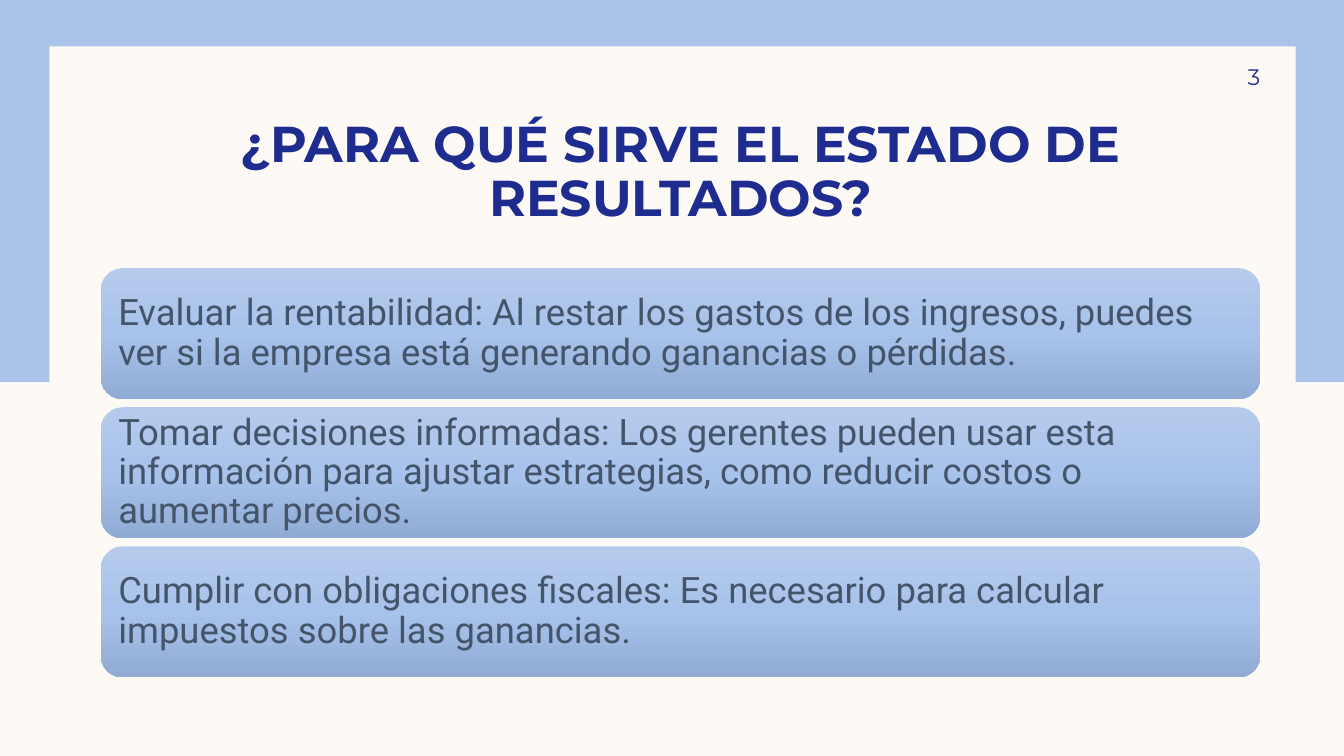
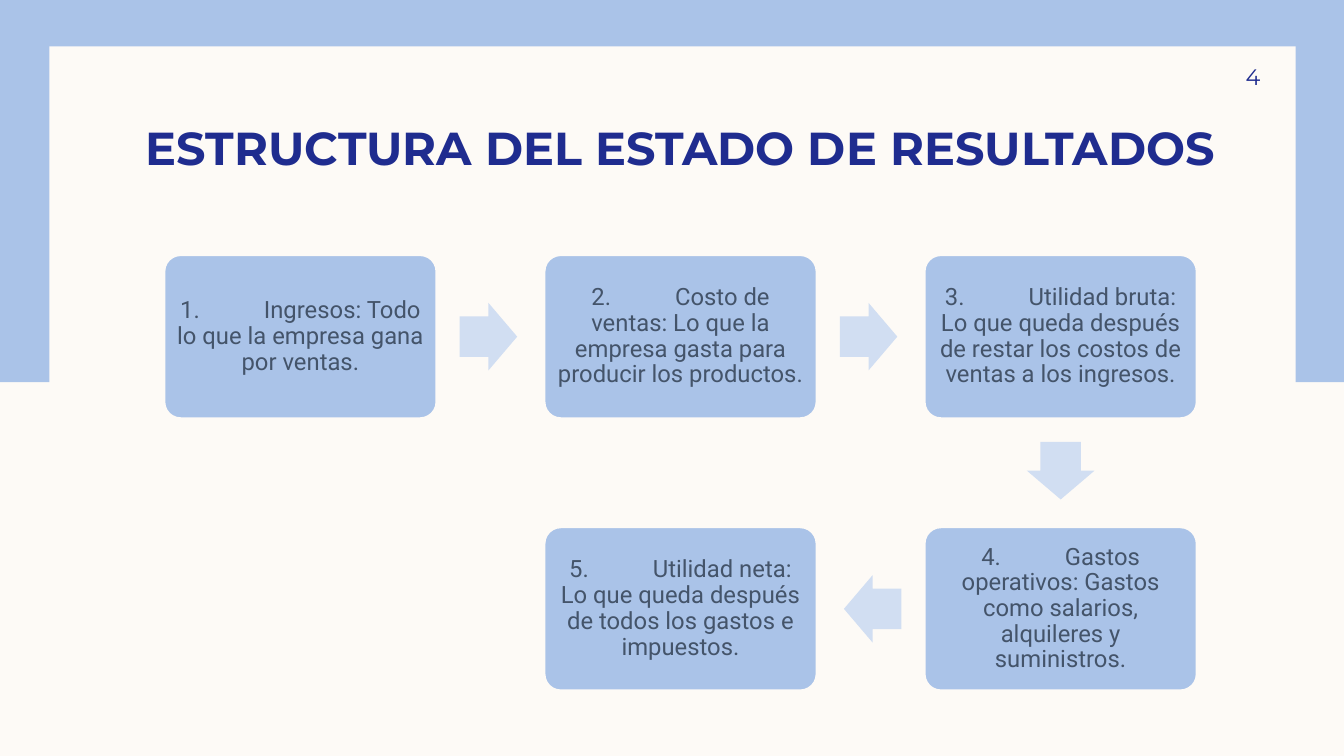
from copy import deepcopy
from dataclasses import dataclass

from lxml import etree
from pptx import Presentation
from pptx.dml.color import RGBColor
from pptx.enum.shapes import MSO_SHAPE
from pptx.enum.text import MSO_ANCHOR, MSO_AUTO_SIZE, PP_ALIGN
from pptx.oxml.ns import qn
from pptx.util import Inches, Pt

RECT, ROUNDED, ARROW = MSO_SHAPE.RECTANGLE, MSO_SHAPE.ROUNDED_RECTANGLE, MSO_SHAPE.RIGHT_ARROW
TOP, MIDDLE = MSO_ANCHOR.TOP, MSO_ANCHOR.MIDDLE
LEFT, CENTER, RIGHT = PP_ALIGN.LEFT, PP_ALIGN.CENTER, PP_ALIGN.RIGHT
TITLE_ONLY = 5


@dataclass(frozen=True)
class Theme:
    paper: str = "FDFAF6"
    band: str = "AAC3E8"
    arrow: str = "D1DEF2"
    navy: str = "1F2C8F"
    slate: str = "44546A"
    gradient: tuple = ("B6CBEC", "A7C2EB", "90ACD5")
    heading_font: str = "Montserrat"
    body_font: str = "Roboto"
    number_size: int = 16
    purpose_size: int = 26
    step_size: int = 17


THEME = Theme()

PURPOSES = {
    "number": "3",
    "title": "¿PARA QUÉ SIRVE EL ESTADO DE RESULTADOS?",
    "title_size": 36,
    "title_spacing": 0.9,
    "items": [
        "Evaluar la rentabilidad: Al restar los gastos de los ingresos, puedes ver si la empresa está generando ganancias o pérdidas.",
        "Tomar decisiones informadas: Los gerentes pueden usar esta información para ajustar estrategias, como reducir costos o aumentar precios.",
        "Cumplir con obligaciones fiscales: Es necesario para calcular impuestos sobre las ganancias.",
    ],
}

STRUCTURE = {
    "number": "4",
    "title": "ESTRUCTURA DEL ESTADO DE RESULTADOS",
    "title_size": 33,
    "title_spacing": 1.0,
    "steps": [
        ((0, 0), "Ingresos: Todo lo que la empresa gana por ventas."),
        ((1, 0), "Costo de ventas: Lo que la empresa gasta para producir los productos."),
        ((2, 0), "Utilidad bruta: Lo que queda después de restar los costos de ventas a los ingresos."),
        ((2, 1), "Gastos operativos: Gastos como salarios, alquileres y suministros."),
        ((1, 1), "Utilidad neta: Lo que queda después de todos los gastos e impuestos."),
    ],
}

ROTATIONS = {(1, 0): 0, (0, 1): 90, (-1, 0): 180}


def color(value):
    return RGBColor.from_string(value)


def add_block(slide, preset, left, top, width, height, fill=None):
    block = slide.shapes.add_shape(preset, Inches(left), Inches(top), Inches(width), Inches(height))
    block.shadow.inherit = False
    block.line.fill.background()
    if fill:
        block.fill.solid()
        block.fill.fore_color.rgb = color(fill)
    return block


def write(shape, text, font, size, ink, align, anchor, margins, spacing=0.9, bold=False):
    frame = shape.text_frame
    frame.word_wrap = True
    frame.auto_size = MSO_AUTO_SIZE.NONE
    frame.vertical_anchor = anchor
    frame.margin_left, frame.margin_top, frame.margin_right, frame.margin_bottom = map(Inches, margins)
    paragraph = frame.paragraphs[0]
    paragraph.alignment = align
    paragraph.line_spacing = spacing
    run = paragraph.add_run()
    run.text = text
    run.font.name = font
    run.font.size = Pt(size)
    run.font.bold = bold
    run.font.color.rgb = color(ink)
    return paragraph


def dress_layout(layout, slide):
    layout.background.fill.solid()
    layout.background.fill.fore_color.rgb = color(THEME.paper)
    band = add_block(slide, RECT, -0.03, 0, 13.36, 3.79, THEME.band)
    panel = add_block(slide, RECT, 0.49, 0.46, 12.36, 6.59, THEME.paper)
    for position, part in enumerate((band, panel), start=2):
        layout.shapes._spTree.insert(position, part._element)


def add_heading(slide, content):
    title = slide.shapes.title
    title.left, title.top, title.width, title.height = map(Inches, (1, 1.18, 11.5, 1.11))
    write(title, content["title"], THEME.heading_font, content["title_size"], THEME.navy,
          CENTER, TOP, (0.1, 0, 0.1, 0), content["title_spacing"], bold=True)
    number = slide.shapes.add_textbox(*map(Inches, (11.33, 0.5, 1.17, 0.52)))
    write(number, content["number"], THEME.heading_font, THEME.number_size, THEME.navy,
          RIGHT, MIDDLE, (0.1, 0.05, 0, 0.05), spacing=1.0)


def apply_gradient(shape):
    shape.fill.gradient()
    shape.fill.gradient_angle = 270
    stops = shape._element.spPr.find(".//" + qn("a:gsLst"))
    stops.insert(1, deepcopy(stops[0]))
    for index, (stop, shade) in enumerate(zip(shape.fill.gradient_stops, THEME.gradient)):
        stop.color.rgb = color(shade)
        stop.position = index / 2


def add_tab_stop(paragraph, position):
    tabs = etree.SubElement(paragraph._p.get_or_add_pPr(), qn("a:tabLst"))
    etree.SubElement(tabs, qn("a:tab"), pos=str(Inches(position)), algn="l")


def add_purposes(slide, items):
    top, height, pitch = 2.66, 1.3, 1.38
    for index, item in enumerate(items):
        card = add_block(slide, ROUNDED, 1, top + index * pitch, 11.5, height)
        apply_gradient(card)
        write(card, item, THEME.body_font, THEME.purpose_size, THEME.slate,
              LEFT, MIDDLE, (0.11, 0, 0.11, 0))


def add_steps(slide, steps):
    left, top, width, height = 1.63, 2.53, 2.7, 1.62
    pitch_x, pitch_y = 3.77, 2.7
    arrow_length, arrow_height, setback = 0.57, 0.67, 0.02
    for index, ((column, row), text) in enumerate(steps):
        x, y = left + column * pitch_x, top + row * pitch_y
        step = add_block(slide, ROUNDED, x, y, width, height, THEME.band)
        step.adjustments[0] = 0.1
        step.line.color.rgb = color(THEME.paper)
        step.line.width = Pt(1.5)
        paragraph = write(step, f"{index + 1}.\t{text}", THEME.body_font, THEME.step_size,
                          THEME.slate, CENTER, MIDDLE, (0.07,) * 4)
        add_tab_stop(paragraph, 0.83)
        if index + 1 < len(steps):
            next_column, next_row = steps[index + 1][0]
            dx, dy = next_column - column, next_row - row
            center_x = x + width / 2 + dx * (pitch_x / 2 - setback)
            center_y = y + height / 2 + dy * (pitch_y / 2 - setback)
            arrow = add_block(slide, ARROW, center_x - arrow_length / 2,
                              center_y - arrow_height / 2, arrow_length, arrow_height, THEME.arrow)
            arrow.adjustments[0], arrow.adjustments[1] = 0.6, 0.5
            arrow.rotation = ROTATIONS[dx, dy]


def main():
    deck = Presentation()
    deck.slide_width, deck.slide_height = Inches(13.33), Inches(7.5)
    layout = deck.slide_layouts[TITLE_ONLY]

    purposes = deck.slides.add_slide(layout)
    dress_layout(layout, purposes)
    add_heading(purposes, PURPOSES)
    add_purposes(purposes, PURPOSES["items"])

    structure = deck.slides.add_slide(layout)
    add_heading(structure, STRUCTURE)
    add_steps(structure, STRUCTURE["steps"])

    deck.save("out.pptx")


if __name__ == "__main__":
    main()
